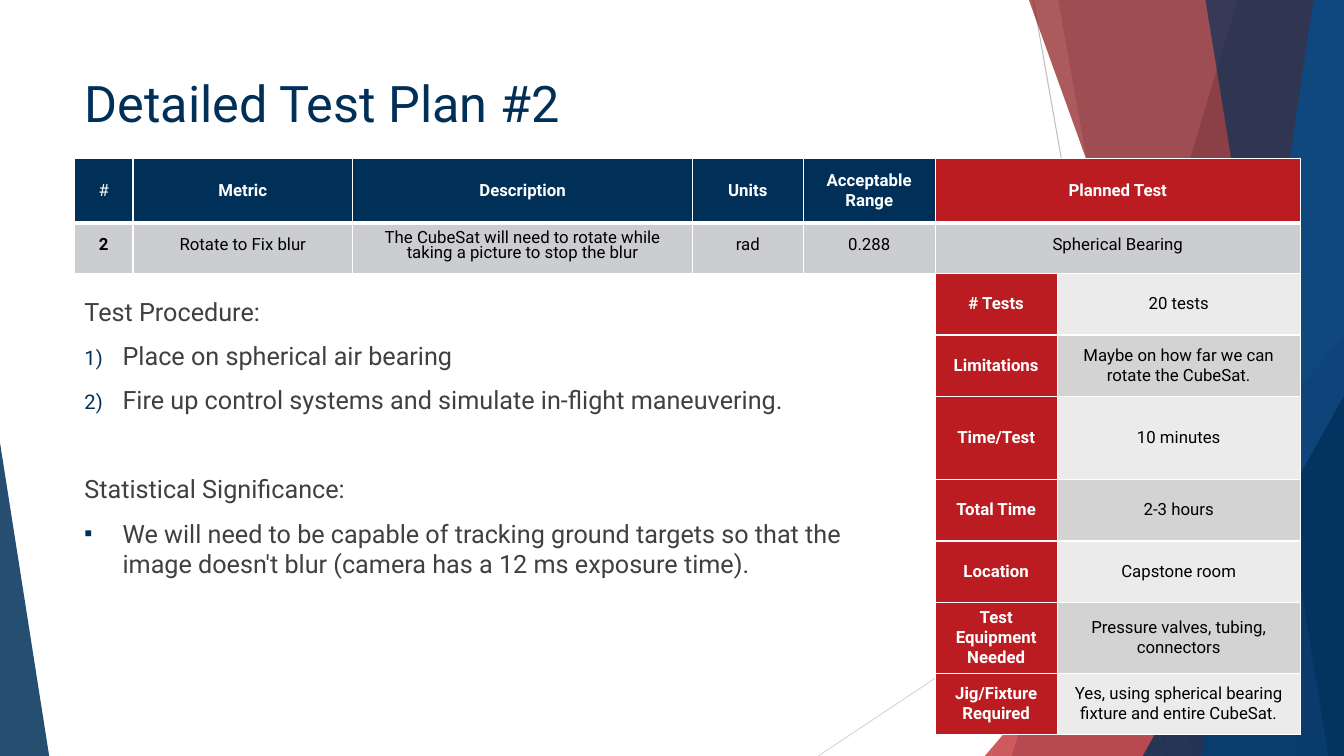
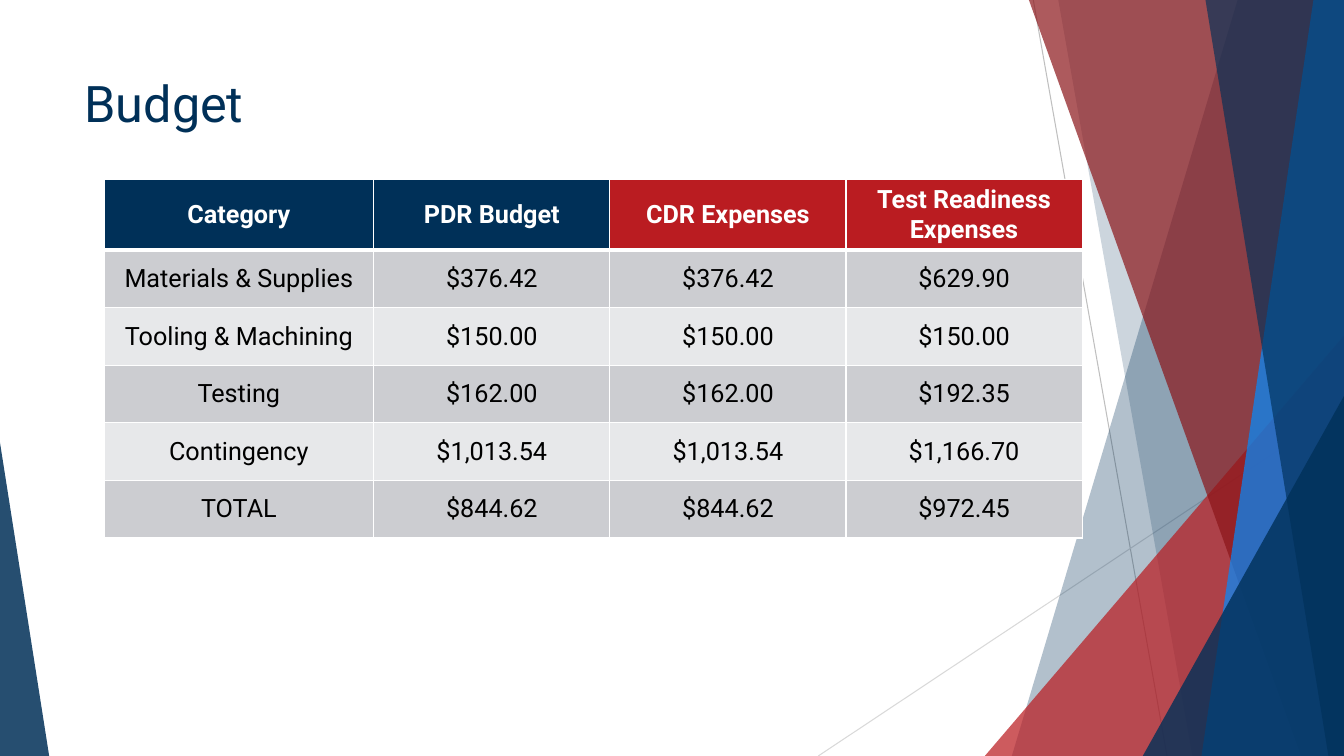
from dataclasses import dataclass
from typing import Optional

import lxml.etree
import pptx
import pptx.dml.color
import pptx.enum.shapes
import pptx.enum.text
import pptx.oxml.ns
import pptx.util

Cm = pptx.util.Cm
Pt = pptx.util.Pt
RGBColor = pptx.dml.color.RGBColor
qn = pptx.oxml.ns.qn

# Shared look
FONT = "Roboto"
NAVY = RGBColor(0x00, 0x30, 0x58)
RED = RGBColor(0xBA, 0x1C, 0x21)
DARK_RED = RGBColor(0x8B, 0x15, 0x19)
BLUE = RGBColor(0x02, 0x8C, 0xFF)
WHITE = RGBColor(0xFF, 0xFF, 0xFF)
BLACK = RGBColor(0x00, 0x00, 0x00)
BODY_GRAY = RGBColor(0x40, 0x40, 0x40)
LINE_GRAY = RGBColor(0xBF, 0xBF, 0xBF)
PALE_LINE = RGBColor(0xD9, 0xD9, 0xD9)
ROW_DARK = RGBColor(0xCC, 0xCD, 0xD1)
ROW_LIGHT = RGBColor(0xE7, 0xE8, 0xEA)
FACT_LIGHT = RGBColor(0xEB, 0xEB, 0xEB)
FACT_DARK = RGBColor(0xD3, 0xD3, 0xD3)

# All lengths below are in centimetres
PAGE_W, PAGE_H = 33.87, 19.05
MARGIN = 1.88


@dataclass
class CellStyle:
    back: Optional[RGBColor]
    ink: RGBColor = BLACK
    bold: bool = False
    size: float = 12
    edge: float = 1
    bottom_edge: float = 1
    line_spacing: Optional[float] = None
    side_margin: float = 0.25
    top_margin: float = 0.13


def add_child(parent, tag, **attributes):
    return lxml.etree.SubElement(parent, qn(tag), attributes)


def add_span(para, text, size, color, bold=False):
    span = para.add_run()
    span.text = text
    span.font.name = FONT
    span.font.size = Pt(size)
    span.font.bold = bold
    span.font.color.rgb = color


def add_text_box(page, left, top, width, height):
    frame = page.shapes.add_textbox(Cm(left), Cm(top), Cm(width), Cm(height)).text_frame
    frame.word_wrap = True
    return frame


# Backdrop: translucent bands, triangles and hairlines
def paint(shape, color, opacity):
    shape.shadow.inherit = False
    shape.line.fill.background()
    shape.fill.solid()
    shape.fill.fore_color.rgb = color
    tint = shape.fill._xPr.find(qn("a:solidFill"))[0]
    add_child(tint, "a:alpha", val=str(opacity * 1000))


def add_band(page, top_x, bottom_x, color, opacity):
    """Fill from a slanted left edge to the right side of the page."""
    builder = page.shapes.build_freeform(Cm(top_x), 0)
    corners = [(PAGE_W, 0), (PAGE_W, PAGE_H), (bottom_x, PAGE_H)]
    builder.add_line_segments([(Cm(x), Cm(y)) for x, y in corners], close=True)
    paint(builder.convert_to_shape(), color, opacity)


def add_corner(page, left, top, width, peak, color, opacity):
    """Triangle standing on the bottom edge; peak is 0 (left) to 1 (right)."""
    shape = page.shapes.add_shape(
        pptx.enum.shapes.MSO_SHAPE.ISOSCELES_TRIANGLE,
        Cm(left), Cm(top), Cm(width), Cm(PAGE_H - top))
    shape.adjustments[0] = peak
    paint(shape, color, opacity)


def add_hairline(page, start, end, color):
    line = page.shapes.add_connector(
        pptx.enum.shapes.MSO_CONNECTOR.STRAIGHT, *map(Cm, start + end))
    line.line.color.rgb = color
    line.line.width = Pt(0.75)
    add_child(line._element.spPr, "a:effectLst")


def add_backdrop(page):
    add_hairline(page, (26.04, 0), (29.41, PAGE_H), LINE_GRAY)
    add_hairline(page, (PAGE_W, 10.24), (20.62, PAGE_H), PALE_LINE)
    add_band(page, 31.19, 25.5, NAVY, 30)
    add_band(page, 26.67, 30.05, NAVY, 20)
    add_corner(page, 24.82, 8.46, PAGE_W - 24.82, 1, RED, 72)
    add_band(page, 25.93, 32.79, DARK_RED, 70)
    add_band(page, 33.1, 30.28, BLUE, 70)
    add_band(page, 30.38, 33.48, NAVY, 65)
    add_corner(page, 28.8, 9.98, PAGE_W - 28.8, 1, NAVY, 80)
    add_corner(page, 0, 11.15, 1.24, 0, NAVY, 85)


def add_page(deck, title):
    page = deck.slides.add_slide(deck.slide_layouts[6])
    add_backdrop(page)
    frame = add_text_box(page, MARGIN, 1.7, 23.88, 3.66)
    add_span(frame.paragraphs[0], title, 36, NAVY)
    return page


# Tables
def set_borders(cell, style):
    properties = cell._tc.get_or_add_tcPr()
    for side in "LRTB":
        width = style.bottom_edge if side == "B" else style.edge
        edge = add_child(properties, "a:ln" + side, w=str(Pt(width)))
        add_child(add_child(edge, "a:solidFill"), "a:srgbClr", val=str(WHITE))


def write_cell(cell, text, style):
    set_borders(cell, style)
    if style.back is None:
        cell.fill.background()
    else:
        cell.fill.solid()
        cell.fill.fore_color.rgb = style.back
    cell.vertical_anchor = pptx.enum.text.MSO_ANCHOR.MIDDLE
    cell.margin_left = cell.margin_right = Cm(style.side_margin)
    cell.margin_top = cell.margin_bottom = Cm(style.top_margin)
    for index, line in enumerate(text.splitlines()):
        frame = cell.text_frame
        para = frame.add_paragraph() if index else frame.paragraphs[0]
        para.alignment = pptx.enum.text.PP_ALIGN.CENTER
        if style.line_spacing:
            para.line_spacing = Pt(style.line_spacing)
        add_span(para, line, style.size, style.ink, style.bold)


def add_grid(page, left, top, widths, heights, rows, style_at):
    """Table whose cell styles come from style_at(row, column)."""
    table = page.shapes.add_table(
        len(heights), len(widths), Cm(left), Cm(top),
        Cm(sum(widths)), Cm(sum(heights))).table
    table.first_row = table.horz_banding = False
    for column, width in zip(table.columns, widths):
        column.width = Cm(width)
    for r, (height, texts) in enumerate(zip(heights, rows)):
        table.rows[r].height = Cm(height)
        for c, text in enumerate(texts):
            write_cell(table.cell(r, c), text, style_at(r, c))


# Test plan slide
METRIC_WIDTHS = [1.47, 5.54, 8.56, 2.79, 3.33, 9.2]
METRIC_HEADS = ["#", "Metric", "Description", "Units", "Acceptable\nRange", "Planned Test"]
METRIC_VALUES = [
    "2", "Rotate to Fix blur",
    "The CubeSat will need to rotate while taking a picture to stop the blur",
    "rad", "0.288", "Spherical Bearing",
]
FACT_WIDTHS = [3.07, 6.13]
FACT_HEIGHTS = [1.55, 1.55, 2.09, 1.55, 1.55, 1.55, 1.55]
FACT_ROWS = [
    ["# Tests", "20 tests"],
    ["Limitations", "Maybe on how far we can rotate the CubeSat."],
    ["Time/Test", "10 minutes"],
    ["Total Time", "2-3 hours"],
    ["Location", "Capstone room"],
    ["Test\nEquipment\nNeeded", "Pressure valves, tubing, connectors"],
    ["Jig/Fixture\nRequired", "Yes, using spherical bearing fixture and entire CubeSat."],
]
# Text, bullet element with its attributes, space before
NUMBER = ("a:buAutoNum", {"type": "arabicParenR"})
SQUARE = ("a:buChar", {"char": "▪"})
PROCEDURE = [
    ("Test Procedure:", None, 0),
    ("Place on spherical air bearing", NUMBER, 10),
    ("Fire up control systems and simulate in-flight maneuvering.", NUMBER, 10),
    ("Statistical Significance:", None, 42),
    ("We will need to be capable of tracking ground targets so that the image "
     "doesn't blur (camera has a 12 ms exposure time).", SQUARE, 10),
]


def head_style(row, column):
    if row:
        return CellStyle(ROW_DARK)
    return CellStyle(RED if column == 5 else NAVY, WHITE, column > 0, bottom_edge=3)


def value_style(row, column):
    return CellStyle(None, bold=column == 0, edge=0.75, bottom_edge=0.75,
                     line_spacing=10.5, side_margin=0.18, top_margin=0.1)


def fact_style(row, column):
    if column == 0:
        return CellStyle(RED, WHITE, True)
    return CellStyle(FACT_DARK if row % 2 else FACT_LIGHT)


def add_bullet(para, tag, attributes):
    properties = para._p.get_or_add_pPr()
    hang = Cm(0.96)
    properties.set("marL", str(hang))
    properties.set("indent", str(-hang))
    add_child(add_child(properties, "a:buClr"), "a:srgbClr", val=str(NAVY))
    add_child(properties, "a:buSzPct", val="80000")
    add_child(properties, "a:buFont", typeface=FONT)
    add_child(properties, tag, **attributes)


def add_procedure(page, left, top, width, height):
    frame = add_text_box(page, left, top, width, height)
    for index, (text, bullet, gap) in enumerate(PROCEDURE):
        para = frame.add_paragraph() if index else frame.paragraphs[0]
        if bullet:
            add_bullet(para, *bullet)
        para.space_before = Pt(gap)
        add_span(para, text, 18, BODY_GRAY)


def add_test_plan(deck):
    page = add_page(deck, "Detailed Test Plan #2")
    add_procedure(page, MARGIN, 7.34, 20.68, 11.38)
    # Heads stand over a tinted row that carries the table of values
    add_grid(page, MARGIN, 3.99, METRIC_WIDTHS, [1.64, 1.26],
             [METRIC_HEADS, [""] * len(METRIC_HEADS)], head_style)
    # Facts hang below the last metric column
    add_grid(page, MARGIN + sum(METRIC_WIDTHS[:-1]), 6.89,
             FACT_WIDTHS, FACT_HEIGHTS, FACT_ROWS, fact_style)
    add_grid(page, MARGIN, 5.59, METRIC_WIDTHS, [1.3], [METRIC_VALUES], value_style)


# Budget slide
BUDGET_ROWS = [
    ["Category", "PDR Budget", "CDR Expenses", "Test Readiness\nExpenses"],
    ["Materials & Supplies", "$376.42", "$376.42", "$629.90"],
    ["Tooling & Machining", "$150.00", "$150.00", "$150.00"],
    ["Testing", "$162.00", "$162.00", "$192.35"],
    ["Contingency", "$1,013.54", "$1,013.54", "$1,166.70"],
    ["TOTAL", "$844.62", "$844.62", "$972.45"],
]


def budget_style(row, column):
    if row == 0:
        return CellStyle(NAVY if column < 2 else RED, WHITE, True, 18, bottom_edge=3)
    return CellStyle(ROW_DARK if row % 2 else ROW_LIGHT, size=18)


def add_budget(deck):
    page = add_page(deck, "Budget")
    add_grid(page, 2.62, 4.52, [6.8] + [5.95] * 3, [1.45] * len(BUDGET_ROWS),
             BUDGET_ROWS, budget_style)


def main():
    deck = pptx.Presentation()
    deck.slide_width, deck.slide_height = Cm(PAGE_W), Cm(PAGE_H)
    add_test_plan(deck)
    add_budget(deck)
    deck.save("out.pptx")


if __name__ == "__main__":
    main()
